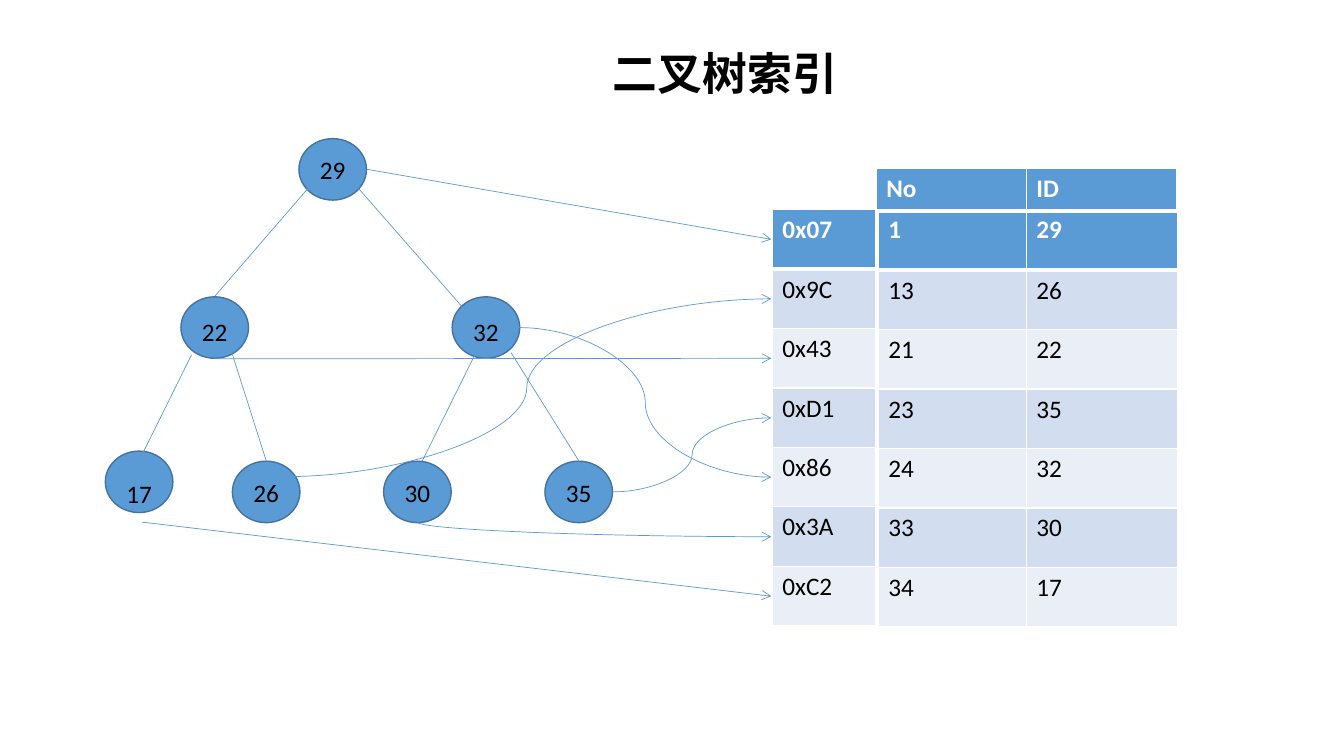
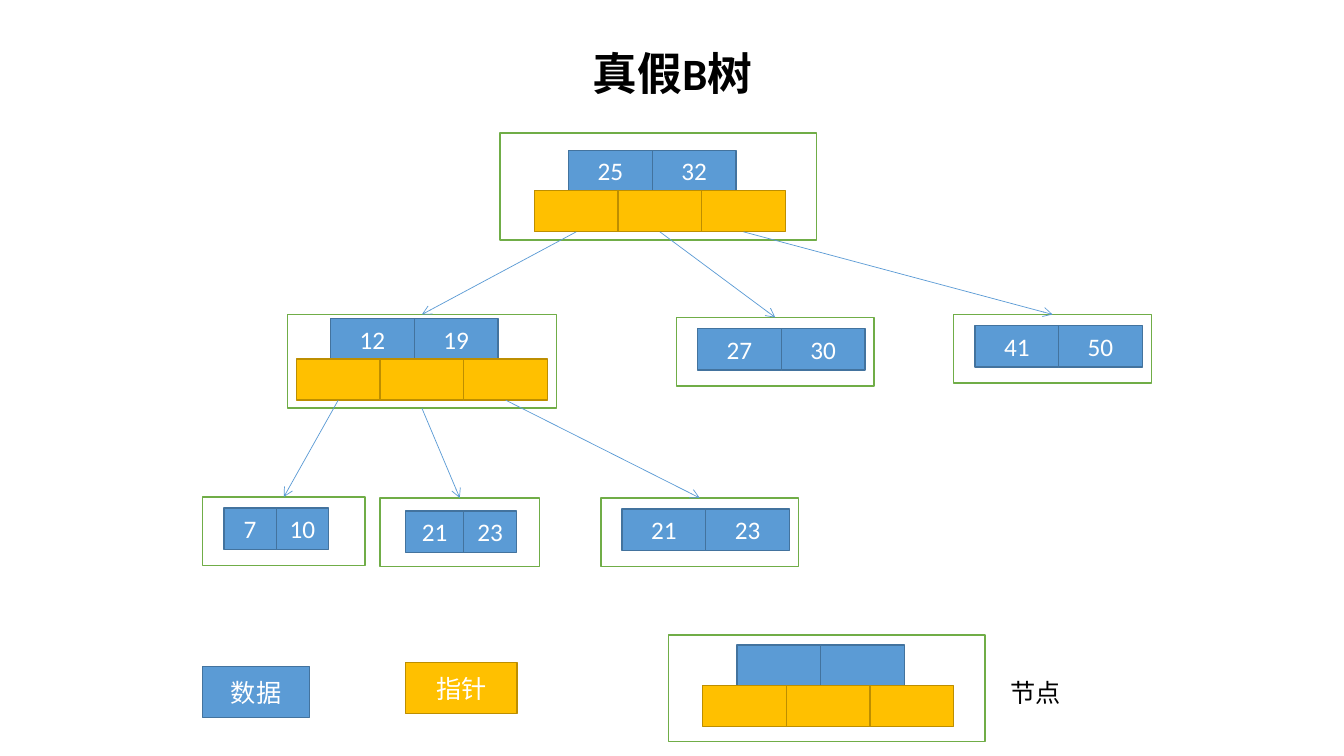
from collections import namedtuple
from dataclasses import dataclass

from lxml.etree import SubElement
from pptx import Presentation
from pptx.dml.color import RGBColor
from pptx.enum.shapes import MSO_CONNECTOR as Link, MSO_SHAPE as Shape
from pptx.enum.text import MSO_ANCHOR as Anchor, MSO_AUTO_SIZE as AutoSize, PP_ALIGN as Align
from pptx.oxml import parse_xml
from pptx.oxml.ns import nsdecls, qn
from pptx.util import Inches, Pt

Box = namedtuple("Box", "left top width height")
Point = namedtuple("Point", "x y")


@dataclass(frozen=True)
class Theme:
    font: str = "Calibri"
    title_size: int = 32
    text_size: int = 18
    black: str = "000000"
    white: str = "FFFFFF"
    blue: str = "5B9BD5"
    blue_edge: str = "43739E"
    gold: str = "FFC000"
    gold_edge: str = "BD8E00"
    green: str = "70AD47"
    bands: tuple = ("D2DEEF", "EAEFF7")
    edge_width: float = 1
    link_width: float = 0.5
    header_rule: float = 3


THEME = Theme()
DATA = (THEME.blue, THEME.blue_edge)
POINTER = (THEME.gold, THEME.gold_edge)
FRAME = (THEME.white, THEME.green)

# Shared parts


def inches(lengths):
    return [Inches(length) for length in lengths]


def style_text(frame, color, size=THEME.text_size, bold=False, align=None):
    for paragraph in frame.paragraphs:
        paragraph.alignment = align
        for run in paragraph.runs:
            run.font.name = THEME.font
            run.font.size = Pt(size)
            run.font.bold = bold
            run.font.color.rgb = RGBColor.from_string(color)


def add_titled_slide(deck, title, box):
    slide = deck.slides.add_slide(deck.slide_layouts[5])
    heading = slide.shapes.title
    heading.left, heading.top, heading.width, heading.height = inches(box)
    frame = heading.text_frame
    frame.text = title
    frame.auto_size = AutoSize.NONE
    frame.vertical_anchor = Anchor.MIDDLE
    frame.paragraphs[0].line_spacing = 0.9
    style_text(frame, THEME.black, THEME.title_size, True, Align.CENTER)
    return slide


def add_block(slide, preset, box, colors, text="", text_color=THEME.white):
    block = slide.shapes.add_shape(preset, *inches(box))
    block.shadow.inherit = False
    fill, edge = colors
    block.fill.solid()
    block.fill.fore_color.rgb = RGBColor.from_string(fill)
    block.line.color.rgb = RGBColor.from_string(edge)
    block.line.width = Pt(THEME.edge_width)
    if text:
        block.text_frame.text = text
        block.text_frame.vertical_anchor = Anchor.MIDDLE
        style_text(block.text_frame, text_color, align=Align.CENTER)
    return block


def add_link(slide, start, end, kind=Link.STRAIGHT, arrow=False):
    link = slide.shapes.add_connector(kind, *inches((*start, *end)))
    link.line.color.rgb = RGBColor.from_string(THEME.blue)
    link.line.width = Pt(THEME.link_width)
    if arrow:
        SubElement(link.line._get_or_add_ln(), qn("a:tailEnd"), type="arrow")
    SubElement(link._element.spPr, qn("a:effectLst"))
    return link


def add_quarter_curve(slide, start, end):
    """Draw a curved arrow that leaves downwards and arrives from the left."""
    middle = Point((start.x + end.x) / 2, (start.y + end.y) / 2)
    half_run, half_drop = (end.x - start.x) / 2, (end.y - start.y) / 2
    curve = add_link(slide, Point(middle.x - half_drop, middle.y + half_run),
                     Point(middle.x + half_drop, middle.y - half_run), Link.CURVE, True)
    properties = curve._element.spPr
    properties.find(qn("a:xfrm")).set("rot", "5400000")
    properties.find(qn("a:prstGeom")).set("prst", "curvedConnector2")


# Binary tree index

RECORDS = [("0x07", "1", "29"), ("0x9C", "13", "26"), ("0x43", "21", "22"),
           ("0xD1", "23", "35"), ("0x86", "24", "32"), ("0x3A", "33", "30"),
           ("0xC2", "34", "17")]
ROW_HEIGHT = 0.59
NODE_WIDTH, NODE_HEIGHT = 0.67, 0.61
# Node centres, relative to the tree's corner
TREE_NODES = {"29": Point(2.25, 0.31), "22": Point(1.08, 1.88), "32": Point(3.77, 1.88),
              "17": Point(0.33, 3.41), "26": Point(1.59, 3.51), "30": Point(3.09, 3.51),
              "35": Point(4.69, 3.51)}
LABEL_DROPS = {"22": 0.03, "32": 0.03, "17": 0.11}
# Parent, offset from its centre, child, offset from its centre
BRANCHES = [("29", (-0.22, 0.16), "22", (0, -0.31)), ("29", (0.23, 0.16), "32", (-0.24, -0.21)),
            ("32", (0.25, 0.25), "35", (0, -0.31)), ("22", (0.17, 0.25), "26", (0, -0.31)),
            ("22", (-0.23, 0.27), "17", (0, -0.21)), ("32", (-0.11, 0.27), "30", (0.05, -0.31))]
# Offset at which the arrow to the record leaves each node
EXITS = {"29": (0.34, 0), "22": (0, 0.31), "32": (0.33, 0), "17": (0.03, 0.4),
         "26": (0.16, -0.15), "30": (0, 0.3), "35": (0.34, 0)}
CURVED = {"32", "26", "35"}


def shift(point, offset):
    return Point(point[0] + offset[0], point[1] + offset[1])


def add_tree(slide, corner):
    """Draw nodes and branches, and return the node centres."""
    centres = {key: shift(corner, place) for key, place in TREE_NODES.items()}
    for key, centre in centres.items():
        box = Box(centre.x - NODE_WIDTH / 2, centre.y - NODE_HEIGHT / 2, NODE_WIDTH, NODE_HEIGHT)
        node = add_block(slide, Shape.OVAL, box, DATA, key, THEME.black)
        label = node.text_frame
        label.vertical_anchor = Anchor.TOP
        label.margin_left = label.margin_right = label.margin_bottom = 0
        label.margin_top = Inches(0.07 + LABEL_DROPS.get(key, 0))
    for parent, start, child, end in BRANCHES:
        add_link(slide, shift(centres[parent], start), shift(centres[child], end))
    return centres


def set_borders(cell, top, bottom):
    widths = {"lnL": 1, "lnR": 1, "lnT": top, "lnB": bottom}
    for position, (side, width) in enumerate(widths.items()):
        border = parse_xml(
            f'<a:{side} {nsdecls("a")} w="{Pt(width)}"><a:solidFill>'
            f'<a:srgbClr val="{THEME.white}"/></a:solidFill></a:{side}>')
        cell._tc.get_or_add_tcPr().insert(position, border)


def add_grid(slide, corner, rows, widths, heights):
    box = Box(*corner, sum(widths), sum(heights))
    table = slide.shapes.add_table(len(rows), len(widths), *inches(box)).table
    for column, width in zip(table.columns, widths):
        column.width = Inches(width)
    for index, (values, height) in enumerate(zip(rows, heights)):
        table.rows[index].height = Inches(height)
        header = index == 0
        fill = THEME.blue if header else THEME.bands[(index - 1) % 2]
        for cell, value in zip(table.rows[index].cells, values):
            cell.text = value
            style_text(cell.text_frame, THEME.white if header else THEME.black, bold=header)
            cell.fill.solid()
            cell.fill.fore_color.rgb = RGBColor.from_string(fill)
            set_borders(cell, THEME.header_rule if index == 1 else 1,
                        THEME.header_rule if header else 1)


def add_records(slide, corner):
    """Draw the addressed records, and return where an arrow meets each one."""
    heights = [ROW_HEIGHT] * len(RECORDS)
    add_grid(slide, shift(corner, (1.05, 0)), [record[1:] for record in RECORDS],
             [1.47, 1.5], [0.6] + heights[1:])
    add_grid(slide, corner, [record[:1] for record in RECORDS], [1.02], heights)
    add_grid(slide, shift(corner, (1.03, -0.41)), [("No", "ID")], [1.49, 1.49], [0.42])
    return {key: shift(corner, (-0.01, ROW_HEIGHT * (row + 0.5)))
            for row, (_, _, key) in enumerate(RECORDS)}


def build_index_slide(deck):
    slide = add_titled_slide(deck, "二叉树索引", Box(1.44, 0.18, 11.5, 1.14))
    centres = add_tree(slide, Point(1.05, 1.37))
    targets = add_records(slide, Point(7.66, 2.08))
    for key, leave in EXITS.items():
        start, end = shift(centres[key], leave), targets[key]
        if key == "30":
            add_quarter_curve(slide, start, end)
        else:
            add_link(slide, start, end, Link.CURVE if key in CURVED else Link.STRAIGHT, True)


# B tree

CELL_WIDTH, CELL_HEIGHT = 0.83, 0.41
LEAF_WIDTH, LEAF_HEIGHT = 1.96, 0.68
LEAF_INSET = (0.21, 0.11)
BOTTOM, TOP = 2, 0


def add_cells(slide, corner, texts, widths, colors):
    cells, left = [], corner.x
    for text, width in zip(texts, widths):
        box = Box(left, corner.y, width, CELL_HEIGHT)
        cells.append(add_block(slide, Shape.RECTANGLE, box, colors, text))
        left += width
    return cells


def add_leaf(slide, box, keys, inset=LEAF_INSET, widths=(CELL_WIDTH, CELL_WIDTH)):
    frame = add_block(slide, Shape.RECTANGLE, box, FRAME)
    add_cells(slide, shift(box[:2], inset), keys, widths, DATA)
    return frame


def add_branch(slide, box, keys, inset):
    """Draw a node with pointers, and return its frame and pointer cells."""
    frame = add_leaf(slide, box, keys, inset)
    corner = shift(shift(box[:2], inset), (-0.34, 0.4))
    return frame, add_cells(slide, corner, [""] * 3, [CELL_WIDTH] * 3, POINTER)


def join(slide, source, child):
    link = add_link(slide, (0, 0), (1, 1), arrow=True)
    link.begin_connect(source, BOTTOM)
    link.end_connect(child, TOP)


def add_legend(slide, box):
    add_block(slide, Shape.RECTANGLE, Box(box.left, box.top + 0.31, 1.06, 0.51), DATA, "数据")
    add_block(slide, Shape.RECTANGLE, Box(box.left + 2.01, box.top + 0.27, 1.11, 0.51),
              POINTER, "指针")
    add_branch(slide, Box(box.left + 4.62, box.top, 3.14, box.height), ("", ""), (0.68, 0.1))
    caption = slide.shapes.add_textbox(*inches((box.left + 7.91, box.top + 0.37, 0.7, 0.4)))
    caption.text_frame.text = "节点"
    style_text(caption.text_frame, THEME.black)


def build_b_tree_slide(deck):
    slide = add_titled_slide(deck, "真假B树", Box(0.92, 0.4, 11.5, 0.7))
    _, root_pointers = add_branch(slide, Box(4.96, 1.32, 3.14, 1.06), ("25", "32"), (0.68, 0.17))
    inner, inner_pointers = add_branch(slide, Box(2.85, 3.12, 2.67, 0.93), ("12", "19"),
                                       (0.43, 0.04))
    middle = add_leaf(slide, Box(6.71, 3.15, LEAF_WIDTH, LEAF_HEIGHT), ("27", "30"))
    right = add_leaf(slide, Box(9.46, 3.12, LEAF_WIDTH, LEAF_HEIGHT), ("41", "50"))
    lower = [
        add_leaf(slide, Box(2.01, 4.93, 1.61, LEAF_HEIGHT), ("7", "10"), widths=(0.52, 0.52)),
        add_leaf(slide, Box(3.77, 4.94, 1.58, LEAF_HEIGHT), ("21", "23"), (0.25, 0.13),
                 (0.58, 0.52)),
        add_leaf(slide, Box(5.96, 4.94, LEAF_WIDTH, LEAF_HEIGHT), ("21", "23")),
    ]
    for pointer, child in zip(root_pointers, (inner, middle, right)):
        join(slide, pointer, child)
    for source, child in zip((inner_pointers[0], inner, inner_pointers[2]), lower):
        join(slide, source, child)
    add_legend(slide, Box(2.01, 6.3, 8.61, 1.06))


def main():
    deck = Presentation()
    deck.slide_width, deck.slide_height = inches((13.33, 7.5))
    build_index_slide(deck)
    build_b_tree_slide(deck)
    deck.save("out.pptx")


if __name__ == "__main__":
    main()
